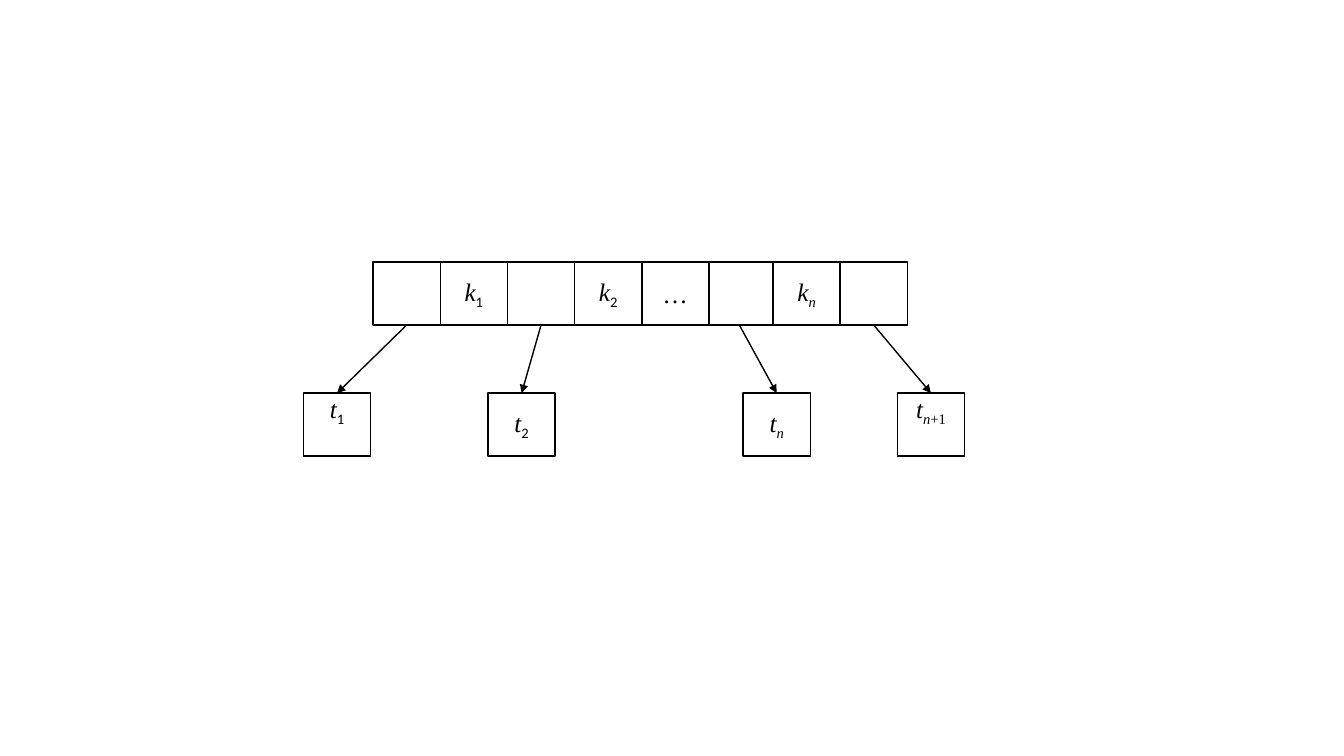
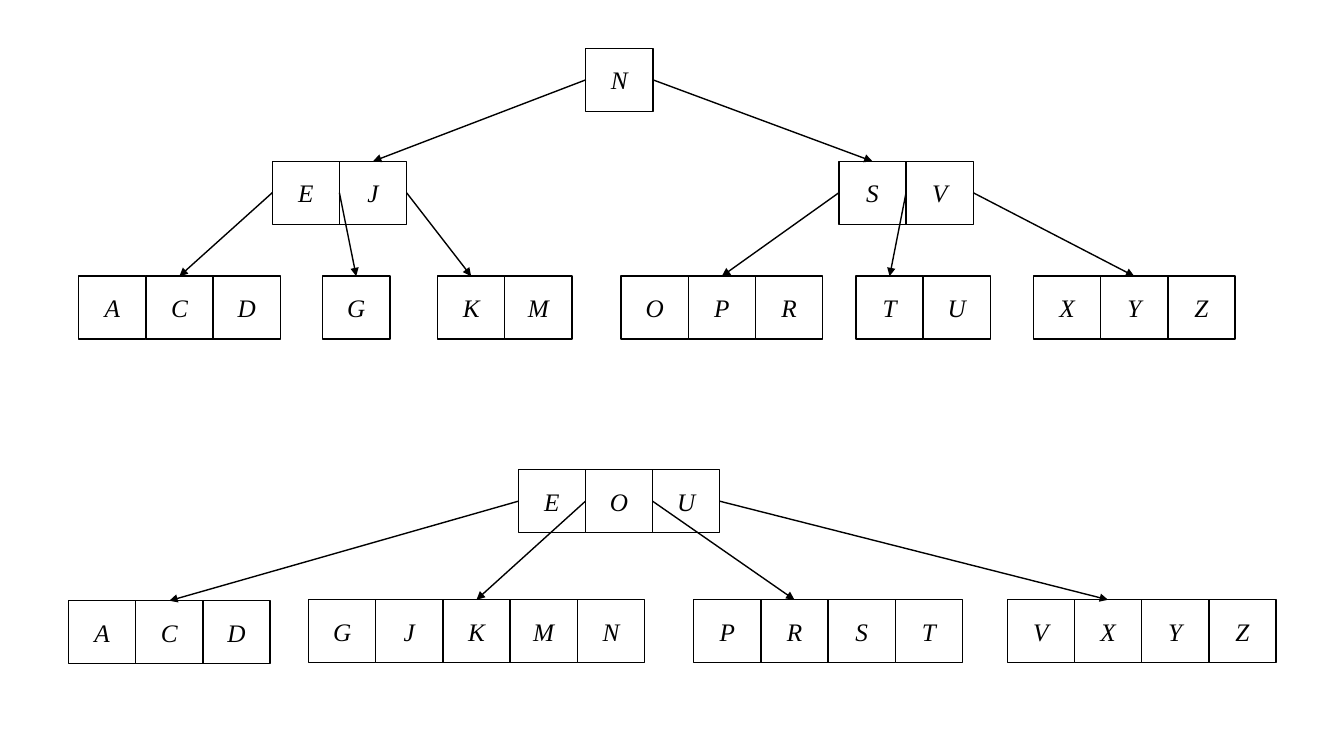
from dataclasses import dataclass
from typing import Optional

import lxml.etree
import pptx
import pptx.dml.color
import pptx.enum.shapes
import pptx.enum.text
import pptx.oxml.ns
import pptx.util

# Shared look: one cell is one square of a 20 x 12 slide grid
SLIDE_W, SLIDE_H = 13.33, 7.5
CELL_W, CELL_H = SLIDE_W / 20, SLIDE_H / 12
COLORS = {"paper": "FFFFFF", "ink": "000000"}
KEY_FONT, DIGIT_FONT = "Times New Roman", "Calibri"
TOP, LEFT, BOTTOM, RIGHT = range(4)  # connection sites of a rectangle


@dataclass(frozen=True)
class Node:
    """A row of keys; "k_1" has a subscript and "" is an empty cell."""
    keys: tuple
    left: float
    top: float
    raised: bool = False


@dataclass(frozen=True)
class Branch:
    """A child node, and which of its cells the arrow points at."""
    child: Node
    target: int
    children: tuple = ()


def color(name: str) -> pptx.dml.color.RGBColor:
    return pptx.dml.color.RGBColor.from_string(COLORS[name])


def add_text(paragraph, text: str, *, font: str = KEY_FONT, size: int = 18,
             italic: bool = True, baseline: Optional[int] = None) -> None:
    run = paragraph.add_run()
    run.text = text
    run.font.name, run.font.size = font, pptx.util.Pt(size)
    run.font.italic = italic
    run.font.color.rgb = color("ink")
    if baseline is not None:
        run.font._element.set("baseline", str(baseline * 1000))


def add_label(shape, key: str, raised: bool) -> None:
    frame = shape.text_frame
    frame.vertical_anchor = pptx.enum.text.MSO_ANCHOR.MIDDLE
    if raised:
        frame.vertical_anchor = pptx.enum.text.MSO_ANCHOR.TOP
        frame.margin_top = 0
    paragraph = frame.paragraphs[0]
    paragraph.alignment = pptx.enum.text.PP_ALIGN.CENTER
    letter, _, subscript = key.partition("_")
    add_text(paragraph, letter)
    if subscript.isdigit():
        add_text(paragraph, subscript, font=DIGIT_FONT, italic=False, baseline=-25)
    elif subscript:
        add_text(paragraph, subscript[0], baseline=-25)
        if subscript[1:]:
            add_text(paragraph, subscript[1:], italic=False, baseline=-25)


def add_node(slide, node: Node) -> list:
    cells = []
    for column, key in enumerate(node.keys):
        cell = slide.shapes.add_shape(
            pptx.enum.shapes.MSO_SHAPE.RECTANGLE,
            pptx.util.Inches(node.left + column * CELL_W), pptx.util.Inches(node.top),
            pptx.util.Inches(CELL_W), pptx.util.Inches(CELL_H))
        cell.shadow.inherit = False
        cell.fill.solid()
        cell.fill.fore_color.rgb = color("paper")
        cell.line.color.rgb = color("ink")
        cell.line.width = pptx.util.Pt(1)
        if key:
            add_label(cell, key, node.raised)
        cells.append(cell)
    return cells


def add_arrow(slide, parent, site: int, child) -> None:
    arrow = slide.shapes.add_connector(
        pptx.enum.shapes.MSO_CONNECTOR.STRAIGHT, 0, 0, 0, 0)
    arrow.begin_connect(parent, site)
    arrow.end_connect(child, TOP)
    arrow.line.color.rgb = color("ink")
    arrow.line.width = pptx.util.Pt(1)
    qn = pptx.oxml.ns.qn
    head = lxml.etree.SubElement(arrow.line._get_or_add_ln(), qn("a:tailEnd"))
    head.set("type", "triangle")
    lxml.etree.SubElement(arrow._element.spPr, qn("a:effectLst"))


def add_tree(slide, root: Node, branches: tuple) -> list:
    """Draw a node and its subtrees; arrows leave from the edges between keys."""
    cells = add_node(slide, root)
    for edge, branch in enumerate(branches):
        child = add_tree(slide, branch.child, branch.children)
        parent, site = (cells[edge - 1], RIGHT) if edge else (cells[0], LEFT)
        add_arrow(slide, parent, site, child[branch.target])
    return cells


def build_node_layout(slide) -> None:
    """General node: keys k between pointers to subtrees t."""
    row, subtree_row = 2.6, 3.9
    last_cells = add_node(slide, Node(("", "k_n", ""), 7.0, row))
    first_cells = add_node(slide, Node(("", "k_1", "", "k_2", "…"), 3.7, row))
    subtrees = (
        (first_cells[0], Node(("t_1",), 3.01, subtree_row, raised=True)),
        (first_cells[2], Node(("t_2",), 4.84, subtree_row)),
        (last_cells[0], Node(("t_n",), 7.37, subtree_row)),
        (last_cells[2], Node(("t_n+1",), 8.9, subtree_row, raised=True)),
    )
    for pointer, subtree in subtrees:
        add_arrow(slide, pointer, BOTTOM, add_node(slide, subtree)[0])


def build_example_trees(slide) -> None:
    """The same kind of tree with three levels and with two."""
    def keys(letters: str, left: float, top: float) -> Node:
        return Node(tuple(letters), left, top)

    # Three levels
    middle, leaves = 1.6, 2.74
    add_tree(slide, keys("N", 5.81, 0.48), (
        Branch(keys("EJ", 2.7, middle), 1, (
            Branch(keys("ACD", 0.78, leaves), 1),
            Branch(keys("G", 3.2, leaves), 0),
            Branch(keys("KM", 4.34, leaves), 0))),
        Branch(keys("SV", 8.32, middle), 0, (
            Branch(keys("OPR", 6.16, leaves), 1),
            Branch(keys("TU", 8.49, leaves), 0),
            Branch(keys("XYZ", 10.25, leaves), 1))),
    ))

    # Two levels
    leaves = 5.95
    add_tree(slide, keys("EOU", 5.14, 4.66), (
        Branch(keys("ACD", 0.68, 5.96), 1),
        Branch(keys("GJKMN", 3.06, leaves), 2),
        Branch(keys("PRST", 6.88, leaves), 1),
        Branch(keys("VXYZ", 9.99, leaves), 1),
    ))


def main() -> None:
    deck = pptx.Presentation()
    deck.slide_width = pptx.util.Inches(SLIDE_W)
    deck.slide_height = pptx.util.Inches(SLIDE_H)
    blank_layout = deck.slide_layouts[6]
    for build in (build_node_layout, build_example_trees):
        build(deck.slides.add_slide(blank_layout))
    deck.save("out.pptx")


if __name__ == "__main__":
    main()
